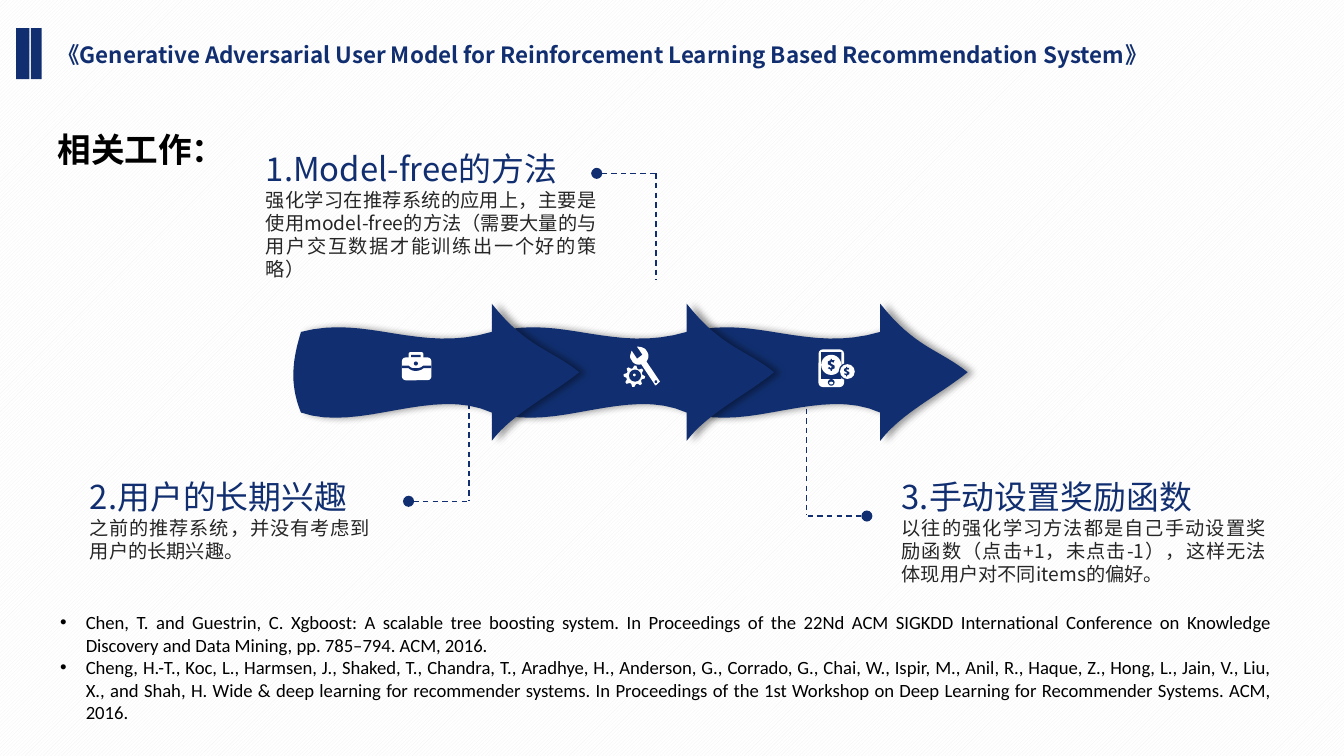
import math
from lxml import etree
from pptx import Presentation
from pptx import util as u
from pptx.dml.color import RGBColor
from pptx.enum import dml, shapes, text
from pptx.oxml import ns

NAVY, WHITE, GREY, BLACK = "112F70", "FFFFFF", "262626", "000000"
CJK = "Noto Sans CJK SC"
RECT, OVAL = shapes.MSO_SHAPE.RECTANGLE, shapes.MSO_SHAPE.OVAL
ROUND = shapes.MSO_SHAPE.ROUNDED_RECTANGLE
JUSTIFY = text.PP_ALIGN.JUSTIFY

TITLE = "《Generative Adversarial User Model for Reinforcement Learning Based Recommendation System》"
SECTION = "相关工作："
TOPICS = [
    ((1.88, 1.06, 2.66, 1.09), "1.Model-free的方法",
     "强化学习在推荐系统的应用上，主要是使用model-free的方法（需要大量的与用户交互数据才能训练出一个好的策略）"),
    ((0.57, 3.5, 2.28, 0.74), "2.用户的长期兴趣",
     "之前的推荐系统，并没有考虑到用户的长期兴趣。"),
    ((6.61, 3.5, 2.91, 0.92), "3.手动设置奖励函数",
     "以往的强化学习方法都是自己手动设置奖励函数（点击+1，未点击-1），这样无法体现用户对不同items的偏好。"),
]
REFERENCES = [
    "Chen, T. and Guestrin, C. Xgboost: A scalable tree boosting system. In Proceedings of the 22Nd ACM SIGKDD International Conference on Knowledge Discovery and Data Mining, pp. 785–794. ACM, 2016.",
    "Cheng, H.-T., Koc, L., Harmsen, J., Shaked, T., Chandra, T., Aradhye, H., Anderson, G., Corrado, G., Chai, W., Ispir, M., Anil, R., Haque, Z., Hong, L., Jain, V., Liu, X., and Shah, H. Wide & deep learning for recommender systems. In Proceedings of the 1st Workshop on Deep Learning for Recommender Systems. ACM, 2016.",
]
TITLE_BARS = [(0.12, 0.21, 0.1, 0.38), (0.23, 0.21, 0.08, 0.38)]
LEADERS = [
    ((3.49, 2.93), (3.49, 3.72), None),
    ((3.04, 3.73), (3.49, 3.73), "headEnd"),
    ((6, 3.04), (6, 3.83), None),
    ((6.01, 3.84), (6.45, 3.84), "tailEnd"),
    ((4.88, 1.29), (4.88, 2.08), None),
    ((4.44, 1.29), (4.88, 1.29), "headEnd"),
]
ARROW_LEFTS = [5.13, 3.69, 2.24]
ARROW = [
    (0, 2.47), (0.49, 2.34, 0.88, 2.63, 1.42, 2.47), (1.42, 2.26),
    (1.68, 2.59, 1.86, 2.6, 2.07, 2.77), (1.86, 2.94, 1.58, 3.07, 1.42, 3.28),
    (1.42, 3.07), (0.98, 2.87, 0.44, 3.22, 0, 3.07), (-0.09, 2.85, -0.06, 2.67, 0, 2.47),
]
WRENCH = [
    (4.91, 2.84), (4.81, 2.69), (4.83, 2.66, 4.83, 2.64, 4.81, 2.61),
    (4.8, 2.59, 4.77, 2.58, 4.74, 2.58), (4.78, 2.64), (4.74, 2.67), (4.7, 2.61),
    (4.69, 2.64, 4.68, 2.66, 4.7, 2.68), (4.71, 2.71, 4.75, 2.72, 4.77, 2.71),
    (4.87, 2.86), (4.87, 2.87, 4.88, 2.87, 4.89, 2.86), (4.9, 2.85),
]
CASE_SEAM = [
    (2.99, 2.72), (3.04, 2.72), (3.06, 2.74, 3.07, 2.74, 3.09, 2.74),
    (3.11, 2.74, 3.13, 2.74, 3.15, 2.72), (3.21, 2.72), (3.21, 2.74), (3.15, 2.74),
    (3.14, 2.75, 3.12, 2.76, 3.09, 2.76), (3.07, 2.76, 3.05, 2.75, 3.04, 2.74), (2.99, 2.74),
]
DOLLAR = [
    (2, 0), (3, 0), (3, 1), (5, 1), (4, 3), (3, 2), (2, 3), (3, 4), (5, 5), (5, 7), (3, 8),
    (3, 9), (2, 9), (2, 8), (0, 7), (1, 6), (2, 7), (3, 6), (2, 5), (0, 4), (0, 2), (2, 1),
]
BRIEFCASE = [
    (ROUND, (3.04, 2.62, 0.11, 0.08), WHITE), (RECT, (3.06, 2.64, 0.07, 0.02), NAVY),
    (ROUND, (2.99, 2.66, 0.22, 0.17), WHITE), (OVAL, (3.08, 2.69, 0.03, 0.03), NAVY),
]
PHONE = [
    (ROUND, (6.09, 2.6, 0.19, 0.28), WHITE), (RECT, (6.11, 2.62, 0.15, 0.2), NAVY),
    (OVAL, (6.11, 2.64, 0.15, 0.15), WHITE), (OVAL, (6.24, 2.7, 0.13, 0.13), NAVY),
    (OVAL, (6.25, 2.71, 0.11, 0.11), WHITE), (OVAL, (6.16, 2.82, 0.05, 0.05), NAVY),
    (OVAL, (6.17, 2.84, 0.03, 0.02), WHITE),
]
GEAR_HOLES = [
    (OVAL, (4.68, 2.75, 0.09, 0.09), NAVY), (OVAL, (4.71, 2.78, 0.02, 0.02), WHITE),
    (OVAL, (4.87, 2.83, 0.02, 0.02), NAVY),
]


def color(value):
    return RGBColor.from_string(value)


def add(parent, tag, **attrs):
    node = etree.SubElement(parent, ns.qn(tag))
    for key, value in attrs.items():
        node.set(key, str(value))
    return node


def paint(sp, fill):
    sp.shadow.inherit = False
    sp.fill.solid()
    sp.fill.fore_color.rgb = color(fill)
    sp.line.fill.background()
    return sp


def add_parts(s, parts):
    for kind, box, fill in parts:
        paint(s.shapes.add_shape(kind, *map(u.Inches, box)), fill)


def flatten(outline, steps=16):
    points = [outline[0]]
    for seg in outline[1:]:
        if len(seg) == 2:
            points.append(seg)
            continue
        ctrl = [points[-1], seg[:2], seg[2:4], seg[4:]]
        for i in range(1, steps + 1):
            t = i / steps
            weights = [math.comb(3, k) * t**k * (1 - t)**(3 - k) for k in range(4)]
            points.append(tuple(sum(w * c[a] for w, c in zip(weights, ctrl)) for a in (0, 1)))
    return points


def add_outline(s, outline, fill, left=0, top=0, scale=1):
    points = [(u.Inches(left + x * scale), u.Inches(top + y * scale)) for x, y in flatten(outline)]
    builder = s.shapes.build_freeform(*points[0])
    builder.add_line_segments(points[1:], close=True)
    return paint(builder.convert_to_shape(), fill)


def add_arrow(s, left):
    sp = add_outline(s, ARROW, NAVY, left)
    effects = sp._element.spPr.find(ns.qn("a:effectLst"))
    shadow = add(effects, "a:outerShdw", blurRad=u.Pt(4), dist=u.Pt(3), dir=0, rotWithShape=0)
    add(add(shadow, "a:srgbClr", val=BLACK), "a:alpha", val=40000)


def add_leader(s, start, end, dot):
    line = s.shapes.add_connector(shapes.MSO_CONNECTOR.STRAIGHT, *map(u.Inches, start + end))
    line.line.color.rgb = color(NAVY)
    line.line.width = u.Pt(0.75)
    line.line.dash_style = dml.MSO_LINE.DASH
    if dot:
        add(line.line._get_or_add_ln(), "a:" + dot, type="oval")
    add(line._element.spPr, "a:effectLst")


def add_box(s, box, wrap=True):
    tf = s.shapes.add_textbox(*map(u.Inches, box)).text_frame
    tf.word_wrap = wrap
    return tf


def write(tf, words, size, fill, font=CJK, bold=False, align=None, spacing=1.2, bullet=None):
    p = tf.paragraphs[0] if not tf.paragraphs[0].runs else tf.add_paragraph()
    p.alignment = align
    p.line_spacing = u.Pt(size * spacing)
    if bullet:
        pPr = p._p.get_or_add_pPr()
        pPr.set("marL", str(u.Inches(0.19)))
        pPr.set("indent", str(u.Inches(-0.19)))
        add(pPr, "a:buFont", typeface="Arial")
        add(pPr, "a:buChar", char=bullet)
    r = p.add_run()
    r.text = words
    r.font.size, r.font.bold, r.font.name = u.Pt(size), bold, font
    r.font.color.rgb = color(fill)
    add(r._r.get_or_add_rPr(), "a:ea", typeface=font)


def main():
    prs = Presentation()
    prs.slide_width = u.Inches(10)
    prs.slide_height = prs.slide_width * 9 // 16
    s = prs.slides.add_slide(prs.slide_layouts[6])
    back = s.background.fill
    back.patterned()
    back.pattern = dml.MSO_PATTERN.LIGHT_UPWARD_DIAGONAL
    back.fore_color.rgb, back.back_color.rgb = color("F2F2F2"), color(WHITE)

    add_parts(s, [(RECT, box, NAVY) for box in TITLE_BARS])
    for leader in LEADERS:
        add_leader(s, *leader)
    for left in ARROW_LEFTS:
        add_arrow(s, left)

    add_parts(s, PHONE)
    add_outline(s, DOLLAR, NAVY, 6.16, 2.67, 0.01)
    add_outline(s, DOLLAR, NAVY, 6.28, 2.73, 0.07 / 9)
    add_outline(s, WRENCH, WHITE)
    radii = [0.08, 0.08, 0.06, 0.06]
    gear = [(radii[i % 4] * math.cos(i * math.pi / 16), radii[i % 4] * math.sin(i * math.pi / 16))
            for i in range(32)]
    add_outline(s, gear, WHITE, 4.72, 2.8)
    add_parts(s, GEAR_HOLES)
    add_parts(s, BRIEFCASE)
    add_outline(s, CASE_SEAM, NAVY)

    for box, heading, body in TOPICS:
        tf = add_box(s, box)
        write(tf, heading, 17.6, NAVY, align=JUSTIFY)
        write(tf, body, 10.3, GREY, align=JUSTIFY)
    write(add_box(s, (0.33, 0.26, 8.72, 0.3)), TITLE, 12, NAVY, bold=True)
    write(add_box(s, (0.33, 0.76, 1.45, 0.55), wrap=False), SECTION, 18, BLACK,
          bold=True, align=JUSTIFY, spacing=1.8)
    tf = add_box(s, (0.35, 4.5, 9.2, 0.94))
    for reference in REFERENCES:
        write(tf, reference, 10, BLACK, font="Calibri", align=JUSTIFY, bullet="•")
    prs.save("out.pptx")


if __name__ == "__main__":
    main()
